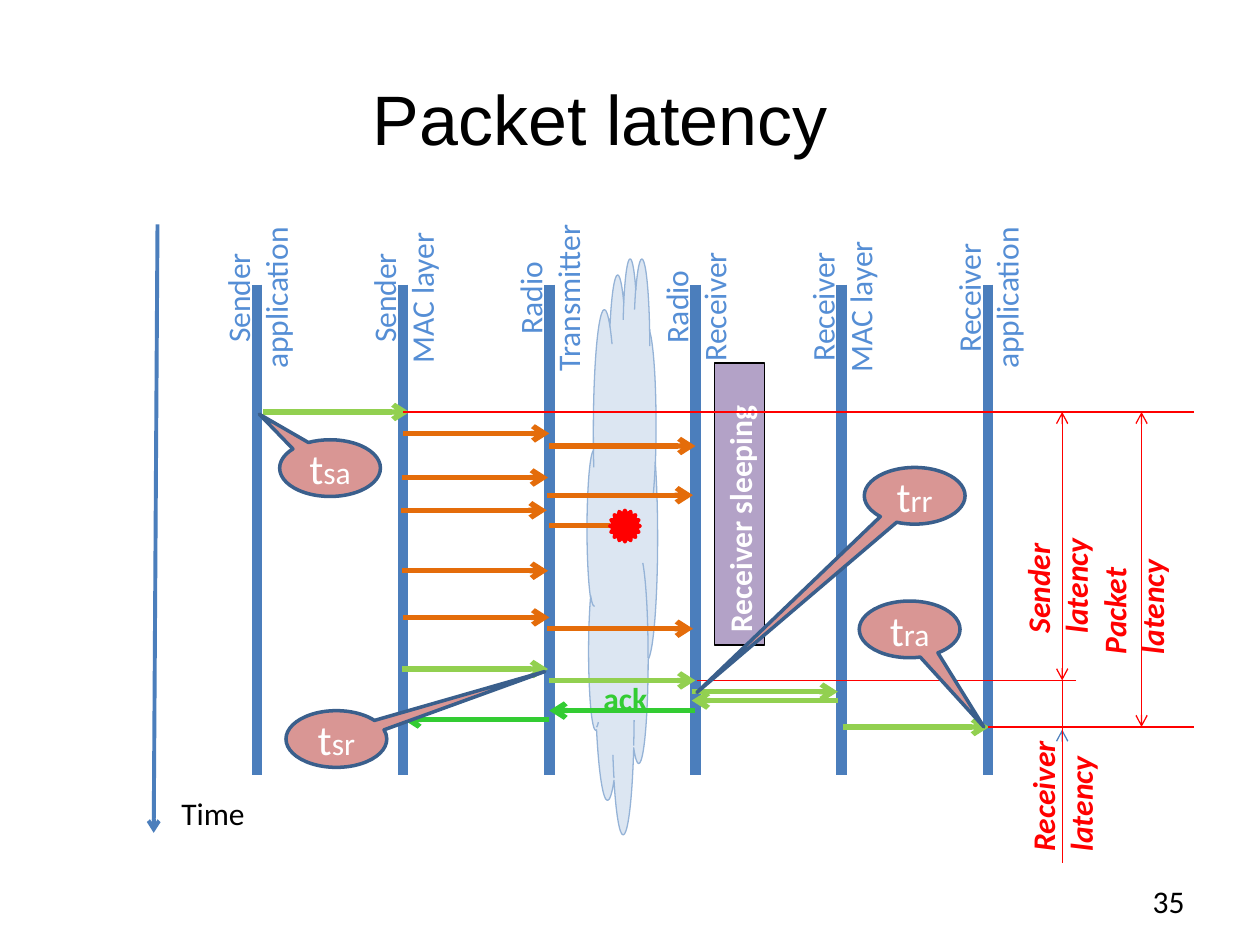
import pptx
import pptx.util
import pptx.dml.color
import pptx.enum.shapes
import pptx.enum.text
import pptx.oxml.ns
import lxml.etree

Inches, Pt = pptx.util.Inches, pptx.util.Pt
SHAPE = pptx.enum.shapes.MSO_SHAPE
ALIGN = pptx.enum.text.PP_ALIGN
ANCHOR = pptx.enum.text.MSO_ANCHOR
qn = pptx.oxml.ns.qn

COLORS = {
    "black": "000000", "white": "FFFFFF", "lane": "4B7EBC", "label": "558ED5",
    "cloud": "DCE6F2", "cloud edge": "95B3D7", "data": "92D050", "preamble": "E46C0A",
    "ack": "33CC33", "red": "FF0000", "sleep": "B3A2C7",
    "callout": "D99694", "callout edge": "3A5F8C",
}

# Lifelines: evenly spaced columns
LANE_X, LANE_GAP, LANE_TOP, LANE_BOTTOM = 2.04, 1.16, 2.26, 6.15
# label, label length, label middle
LANES = [
    ("Sender application", 1.45, 2.365),
    ("Sender MAC layer", 1.45, 2.365),
    ("Radio Transmitter", 1.45, 2.365),
    ("Radio Receiver", 1.31, 2.435),
    ("Receiver MAC layer", 1.31, 2.435),
    ("Receiver application", 1.45, 2.365),
]
# from lane, to lane, height, colour, sideways shift
MESSAGES = [
    (0, 1, 3.27, "data", 0.05),
    (1, 2, 3.44, "preamble", 0),
    (1, 2, 3.79, "preamble", -0.01),
    (1, 2, 4.05, "preamble", -0.02),
    (1, 2, 4.53, "preamble", -0.01),
    (1, 2, 4.9, "preamble", 0),
    (2, 3, 3.54, "preamble", 0),
    (2, 3, 3.93, "preamble", -0.02),
    (2, 3, 4.99, "preamble", -0.02),
    (1, 2, 5.31, "data", -0.01),
    (2, 3, 5.4, "data", 0),
    (3, 4, 5.49, "data", -0.03),
    (4, 3, 5.56, "data", -0.03),
    (4, 5, 5.77, "data", 0.01),
    (3, 2, 5.64, "ack", 0),
    (2, 1, 5.71, "ack", 0),
]
SENT, HEARD, DONE = 3.27, 5.4, 5.77
SPLIT_X, TOTAL_X, EDGE_X = 8.43, 9.06, 9.48
# start, end, colour, arrow at start, arrow at end
MEASURES = [
    ((3.2, SENT), (EDGE_X, SENT), "red", False, False),
    ((7.84, DONE), (EDGE_X, DONE), "red", False, False),
    ((8.54, HEARD), (5.53, HEARD), "red", False, False),
    ((SPLIT_X, SENT), (SPLIT_X, HEARD), "red", True, True),
    ((SPLIT_X, 5.79), (SPLIT_X, 6.15), "lane", True, False),
    ((TOTAL_X, SENT), (TOTAL_X, DONE), "red", True, True),
    ((SPLIT_X, HEARD), (SPLIT_X, 6.85), "red", False, False),
]
# text, middle x, middle y, length, height, room kept free after the text
LATENCIES = [
    ("Packet latency", 8.84, 4.52, 1.54, 0.4, 0.4),
    ("Sender latency", 8.235, 4.34, 1.57, 0.4, 0.4),
    ("Receiver latency", 8.43, 6.305, 1.1, 0.71, 0.1),
]
# subscript, left, top, pointer tip
CALLOUTS = [
    ("sa", 2.22, 3.49, (-0.702, -0.951)),
    ("sr", 2.27, 5.64, (2.068, -1.191)),
    ("rr", 6.86, 3.71, (-2.161, 3.469)),
    ("ra", 6.82, 4.77, (0.736, 1.721)),
]


def rgb(name):
    return pptx.dml.color.RGBColor.from_string(COLORS[name])


def style_font(font, color, size=18, bold=False, italic=False, name="Calibri"):
    font.name, font.size, font.bold, font.italic = name, Pt(size), bold, italic
    font.color.rgb = rgb(color)


def add_line(slide, start, end, color, width, head=False, tail=False):
    c = slide.shapes.add_connector(pptx.enum.shapes.MSO_CONNECTOR.STRAIGHT,
                                   *[Inches(v) for v in (*start, *end)])
    c.line.color.rgb = rgb(color)
    c.line.width = Pt(width)
    for tag, wanted in (("a:headEnd", head), ("a:tailEnd", tail)):
        if wanted:
            lxml.etree.SubElement(c.line._get_or_add_ln(), qn(tag), type="arrow")
    lxml.etree.SubElement(c._element.spPr, qn("a:effectLst"))


def add_shape(slide, kind, box, fill, edge, width):
    sp = slide.shapes.add_shape(kind, *[Inches(v) for v in box])
    sp.shadow.inherit = False
    sp.fill.solid()
    sp.fill.fore_color.rgb = rgb(fill)
    sp.line.color.rgb = rgb(edge)
    sp.line.width = Pt(width)
    return sp


def add_text(slide, text, box, color, align=ALIGN.LEFT, wrap=True, **font):
    sp = slide.shapes.add_textbox(*[Inches(v) for v in box])
    tf = sp.text_frame
    tf.word_wrap = wrap
    p = tf.paragraphs[0]
    p.text, p.alignment = text, align
    style_font(p.font, color, **font)
    return sp


def centred(x, y, w, h):
    return x - w / 2, y - h / 2, w, h


def lane_x(i):
    return LANE_X + i * LANE_GAP


prs = pptx.Presentation()
prs.slide_width, prs.slide_height = Inches(10), Inches(7.5)
slide = prs.slides.add_slide(prs.slide_layouts[5])

title = slide.shapes.title
title.left, title.top, title.width, title.height = [Inches(v) for v in (1.22, 0.58, 7.09, 0.71)]
title.text_frame.text = "Packet latency"
p = title.text_frame.paragraphs[0]
p.alignment = ALIGN.CENTER
style_font(p.font, "black", 40, name="Arial")

number = add_text(slide, "35", (7.17, 6.95, 2.33, 0.4), "black", ALIGN.RIGHT)
number.text_frame.vertical_anchor = ANCHOR.MIDDLE

add_line(slide, (1.25, 1.78), (1.22, 6.61), "lane", 2.25, tail=True)
add_text(slide, "Time", (1.34, 6.25, 0.71, 0.36), "black", wrap=False)

for i, (label, length, middle) in enumerate(LANES):
    sp = add_text(slide, label, centred(lane_x(i), middle, length, 0.71), "label", ALIGN.CENTER)
    sp.rotation = 270
    add_line(slide, (lane_x(i), LANE_TOP), (lane_x(i), LANE_BOTTOM), "lane", 6)

add_shape(slide, SHAPE.CLOUD, (4.66, 2.04, 0.56, 4.57), "cloud", "cloud edge", 0.75)

for source, target, y, color, shift in MESSAGES:
    add_line(slide, (lane_x(source) + shift, y), (lane_x(target) + shift, y), color, 3, tail=True)

# The packet that is lost on the air
add_line(slide, (lane_x(2), 4.17), (4.84, 4.17), "preamble", 3)
add_shape(slide, SHAPE.STAR_16_POINT, (4.84, 4.05, 0.24, 0.25), "red", "red", 2)

sleeping = add_shape(slide, SHAPE.RECTANGLE, (4.75, 3.8, 2.24, 0.4), "sleep", "black", 0.75)
sleeping.rotation = 270
p = sleeping.text_frame.paragraphs[0]
p.text, p.alignment = "Receiver sleeping", ALIGN.LEFT
style_font(p.font, "white", bold=True)

for start, end, color, head, tail in MEASURES:
    add_line(slide, start, end, color, 0.75, head, tail)

for text, x, y, length, height, free in LATENCIES:
    sp = add_text(slide, text, centred(x, y, length, height), "red", bold=True, italic=True)
    sp.rotation = 270
    sp.text_frame.margin_right = Inches(free)

add_text(slide, "ack", (4.69, 5.34, 0.55, 0.36), "ack", wrap=False, bold=True)

for subscript, left, top, tip in CALLOUTS:
    sp = add_shape(slide, SHAPE.OVAL_CALLOUT, (left, top, 0.8, 0.45), "callout", "callout edge", 2)
    sp.adjustments[0], sp.adjustments[1] = tip
    tf = sp.text_frame
    tf.margin_left = tf.margin_right = tf.margin_top = tf.margin_bottom = 0
    tf.vertical_anchor = ANCHOR.MIDDLE
    p = tf.paragraphs[0]
    p.alignment = ALIGN.CENTER
    for text, size in (("t", 24), (subscript, 18)):
        r = p.add_run()
        r.text = text
        style_font(r.font, "white", size)

prs.save("out.pptx")
